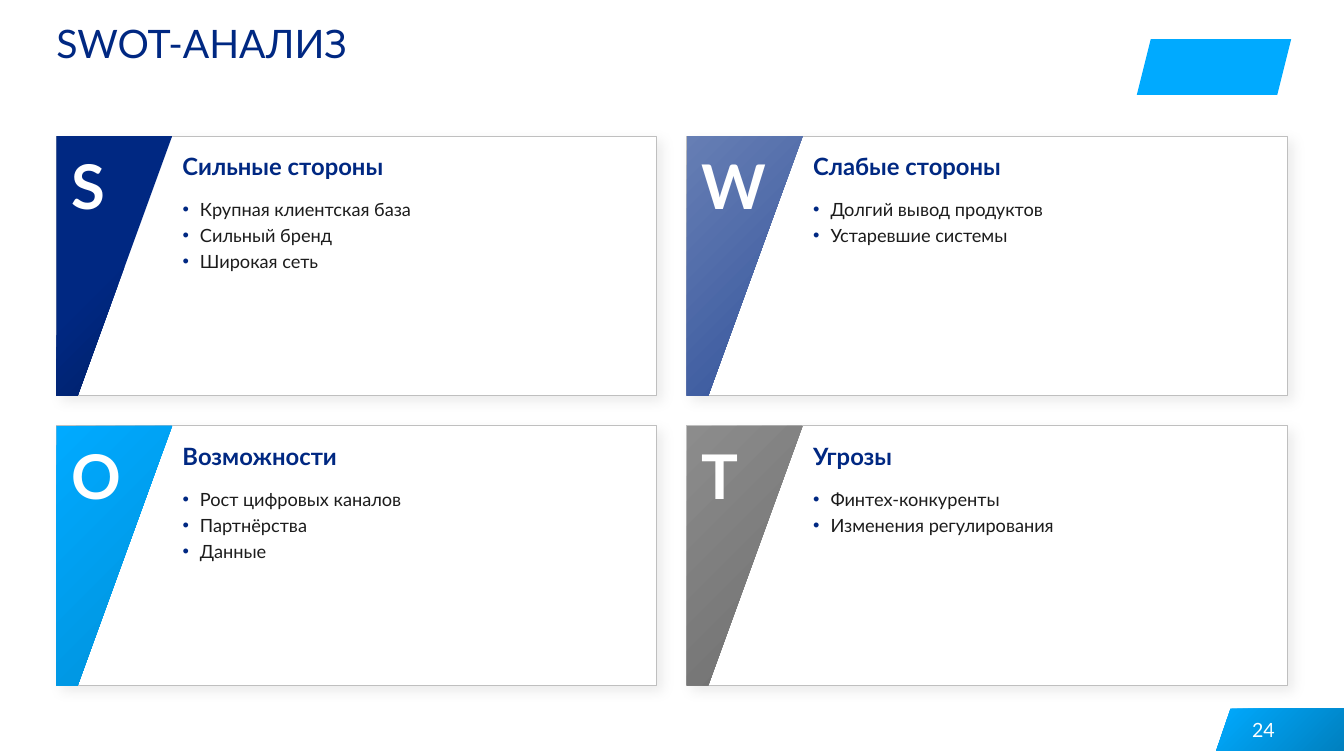
from lxml.etree import SubElement
from pptx import Presentation
from pptx.dml.color import RGBColor
from pptx.enum.shapes import MSO_SHAPE
from pptx.enum.text import MSO_ANCHOR, MSO_AUTO_SIZE, PP_ALIGN
from pptx.oxml.ns import qn
from pptx.util import Cm, Pt

FONT = "Lato"
COLORS = {
    "navy": "002882",
    "sky": "00AAFF",
    "white": "FFFFFF",
    "edge": "BFBFBF",
    "ink": "1C1C1C",
    "shade": "000000",
}
CARD_W, CARD_H = 15.13, 6.54
LEFT, TOP = 1.42, 3.43
STEP_X, STEP_Y = 15.89, 7.3

# letter, heading, items, gradient stops
CARDS = [
    ("S", "Сильные стороны",
     ["Крупная клиентская база", "Сильный бренд", "Широкая сеть"],
     [(0.5, "002882"), (1, "001E62")]),
    ("W", "Слабые стороны",
     ["Долгий вывод продуктов", "Устаревшие системы"],
     [(0, "667EB4"), (1, "33539B")]),
    ("O", "Возможности",
     ["Рост цифровых каналов", "Партнёрства", "Данные"],
     [(0, "00AAFF"), (1, "0091DA")]),
    ("T", "Угрозы",
     ["Финтех-конкуренты", "Изменения регулирования"],
     [(0, "8C8C8C"), (1, "6E6E6E")]),
]


def color(name):
    return RGBColor.from_string(COLORS[name])


def place(shape, x, y, w, h):
    shape.left, shape.top, shape.width, shape.height = Cm(x), Cm(y), Cm(w), Cm(h)


def set_frame(shape, inset=True):
    """Wrap at the top of the shape, with no margins if inset is False."""
    frame = shape.text_frame
    frame.word_wrap = True
    frame.auto_size = MSO_AUTO_SIZE.NONE
    frame.vertical_anchor = MSO_ANCHOR.TOP
    if not inset:
        frame.margin_left = frame.margin_right = 0
        frame.margin_top = frame.margin_bottom = 0
    return frame


def add_run(para, text, size, tint, bold=False):
    run = para.add_run()
    run.text = text
    font = run.font
    font.name, font.size, font.bold = FONT, Pt(size), bold
    font.color.rgb = color(tint)


def add_text(slide, box, text, size, tint, bold=False):
    shape = slide.shapes.add_textbox(*map(Cm, box))
    para = set_frame(shape, inset=False).paragraphs[0]
    add_run(para, text, size, tint, bold)


def add_panel(slide, points, stops):
    """Draw a closed outline with a diagonal gradient."""
    first, *rest = [(Cm(x), Cm(y)) for x, y in points]
    pen = slide.shapes.build_freeform(*first)
    pen.add_line_segments(rest, close=True)
    shape = pen.convert_to_shape()
    shape.shadow.inherit = False
    shape.line.fill.background()
    shape.fill.gradient()
    shape.fill.gradient_angle = 315
    for stop, (pos, tone) in zip(shape.fill.gradient_stops, stops):
        stop.position = pos
        stop.color.rgb = RGBColor.from_string(tone)


def add_rect(slide, kind, box, tint):
    shape = slide.shapes.add_shape(kind, *map(Cm, box))
    shape.shadow.inherit = False
    shape.fill.solid()
    shape.fill.fore_color.rgb = color(tint)
    shape.line.fill.background()
    return shape


def add_shade(shape):
    """Give the shape a soft shadow to the lower right."""
    effects = shape._element.spPr.find(qn("a:effectLst"))
    outer = SubElement(effects, qn("a:outerShdw"), blurRad=str(Pt(9)),
                       dist=str(Pt(5)), dir="2700000", algn="tl",
                       rotWithShape="0")
    tone = SubElement(outer, qn("a:srgbClr"), val=COLORS["shade"])
    SubElement(tone, qn("a:alpha"), val="8000")


def add_bullet(para):
    props = para._p.get_or_add_pPr()
    props.set("marL", str(Cm(0.44)))
    props.set("indent", str(-Cm(0.44)))
    tone = SubElement(props, qn("a:buClr"))
    SubElement(tone, qn("a:srgbClr"), val=COLORS["navy"])
    SubElement(props, qn("a:buFont"), typeface="Arial")
    SubElement(props, qn("a:buChar"), char="•")


def fill_list(slide, body, box, items):
    place(body, *box)
    slide.shapes._spTree.append(body._element)  # bring in front of the card
    frame = set_frame(body, inset=False)
    for i, item in enumerate(items):
        para = frame.add_paragraph() if i else frame.paragraphs[0]
        add_bullet(para)
        para.alignment = PP_ALIGN.LEFT
        para.space_before = Pt(3 if i else 0)
        add_run(para, item, 13, "ink")


def add_card(slide, body, x, y, card):
    letter, heading, items, stops = card
    rect = add_rect(slide, MSO_SHAPE.RECTANGLE, (x, y, CARD_W, CARD_H), "white")
    rect.line.color.rgb = color("edge")
    rect.line.width = Pt(0.5)
    add_shade(rect)
    low = y + CARD_H
    add_panel(slide, [(x, y), (x + 2.92, y), (x + 0.54, low), (x, low)], stops)
    add_text(slide, (x + 0.38, y + 0.3, 2.03, 2.03), letter, 44, "white", True)
    add_text(slide, (x + 3.18, y + 0.39, 11.43, 1.02), heading, 17, "navy", True)
    fill_list(slide, body, (x + 3.18, y + 1.57, 11.43, 4.62), items)


def add_title(slide, text):
    title = slide.shapes.title
    place(title, 1.42, 0.48, 26.62, 2.39)
    para = set_frame(title, inset=False).paragraphs[0]
    para.alignment = PP_ALIGN.LEFT
    add_run(para, text, 28, "navy")


def add_number(slide, text):
    add_panel(slide, [(31.01, 17.86), (33.87, 17.86), (33.87, 18.92), (30.65, 18.92)],
              [(0, COLORS["sky"]), (1, "0080BF")])
    box = slide.shapes.add_textbox(Cm(30.96), Cm(17.88), Cm(1.42), Cm(1.02))
    frame = set_frame(box)
    frame.vertical_anchor = MSO_ANCHOR.MIDDLE
    para = frame.paragraphs[0]
    para.alignment = PP_ALIGN.RIGHT
    add_run(para, text, 14, "white")


def main():
    prs = Presentation()
    prs.slide_width, prs.slide_height = Cm(33.87), Cm(19.05)
    slide = prs.slides.add_slide(prs.slide_layouts.get_by_name("Comparison"))
    title, *bodies = slide.placeholders
    add_title(slide, "SWOT-АНАЛИЗ")
    add_rect(slide, MSO_SHAPE.PARALLELOGRAM, (28.65, 0.99, 3.89, 1.4), "sky")
    add_number(slide, "24")
    for i, (body, card) in enumerate(zip(bodies, CARDS)):
        row, col = divmod(i, 2)
        add_card(slide, body, LEFT + col * STEP_X, TOP + row * STEP_Y, card)
    prs.save("out.pptx")


if __name__ == "__main__":
    main()
